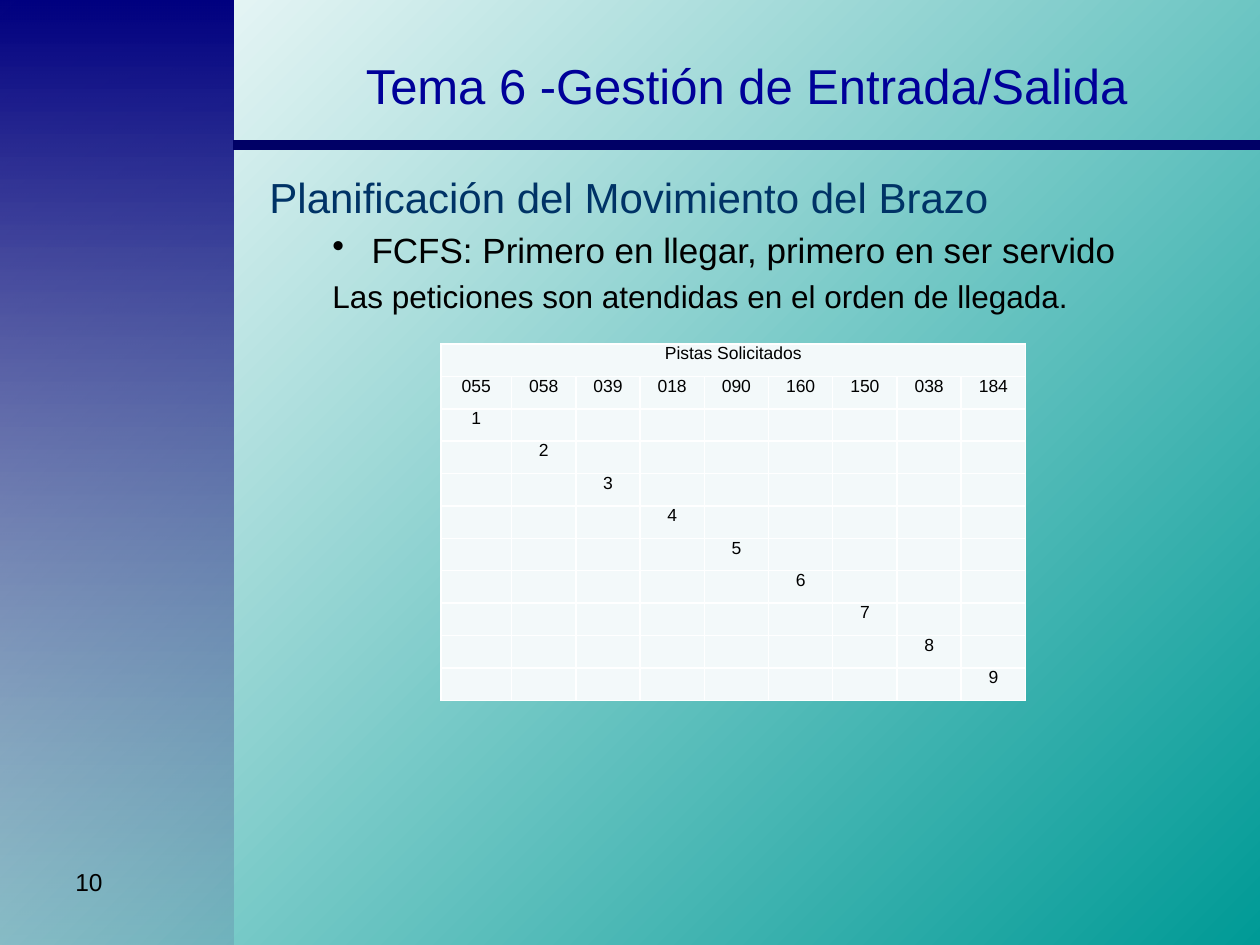
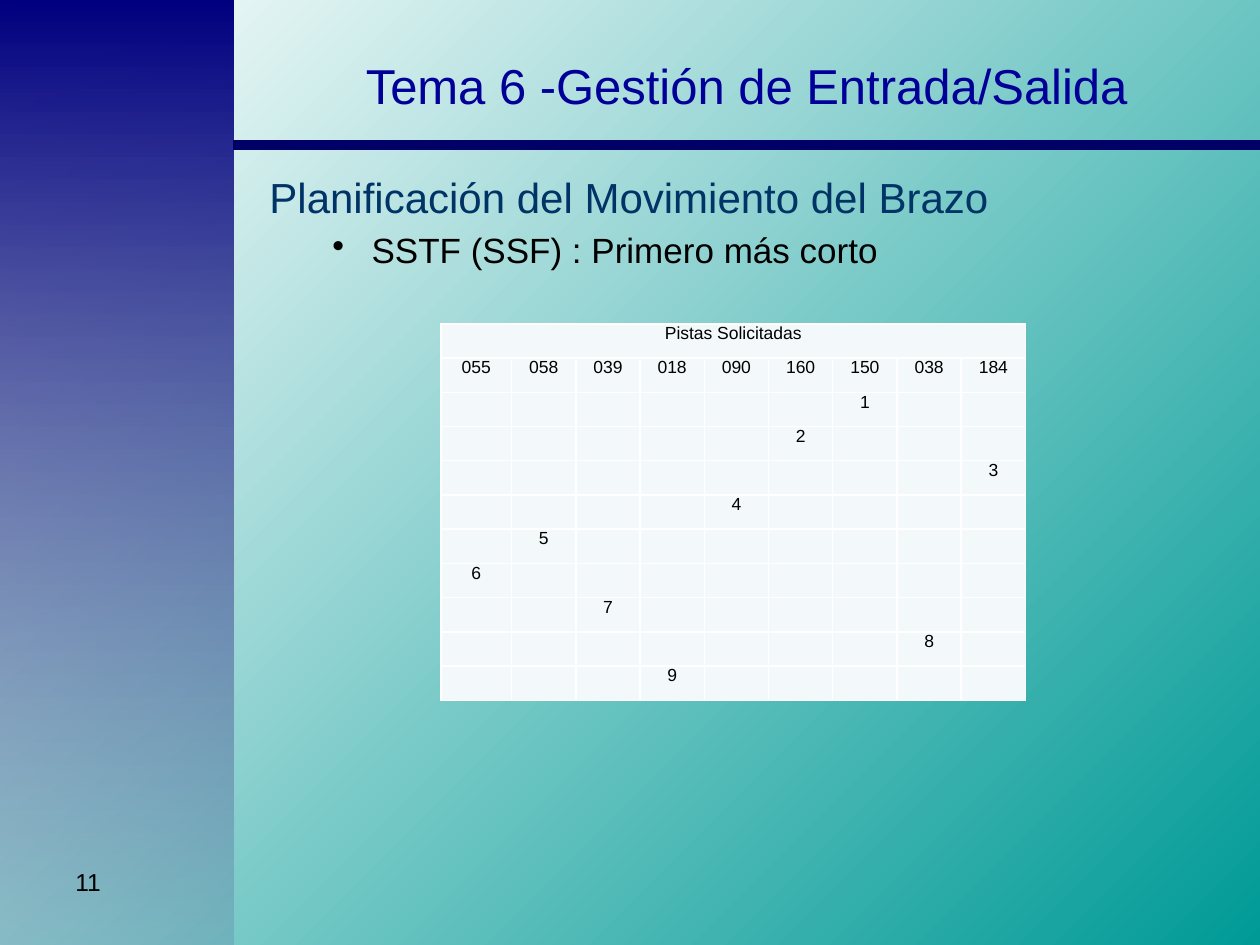
"""Build two slides on disk arm scheduling, each with a table of requested tracks."""
import dataclasses

import lxml.etree
import pptx
import pptx.dml.color
import pptx.enum.shapes
import pptx.enum.text
import pptx.oxml.ns
import pptx.util


@dataclasses.dataclass(frozen=True)
class Theme:
    font: str = "Arial"
    background: tuple = ("FFFFFF", "009A96")
    band: tuple = ("000080", "545490")
    band_end_alpha: str = "19000"
    rule: str = "000066"
    title: str = "000099"
    heading: str = "003366"
    text: str = "000000"
    cell: str = "F3F9FA"
    border: str = "FFFFFF"
    title_size: int = 28
    heading_size: int = 24
    bullet_size: int = 20
    note_size: int = 18
    number_size: int = 14
    cell_size: int = 10


theme = Theme()
rgb = pptx.dml.color.RGBColor.from_string
qn = pptx.oxml.ns.qn
align = pptx.enum.text.PP_ALIGN

presentation = pptx.Presentation()
presentation.slide_width = pptx.util.Inches(10)
presentation.slide_height = pptx.util.Inches(7.5)
column = presentation.slide_width / 100
row = presentation.slide_height / 75


def place(left, top, width, height):
    return [round(length) for length in (left * column, top * row, width * column, height * row)]


def write(paragraph, text, size, color, alignment=align.LEFT):
    paragraph.text = text
    paragraph.alignment = alignment
    paragraph.font.name = theme.font
    paragraph.font.size = pptx.util.Pt(size)
    paragraph.font.color.rgb = rgb(color)


band_width = 18.5
rule_top = 11.5
table_bottom = 55.6
tracks = ["055", "058", "039", "018", "090", "160", "150", "038", "184"]
track_widths = [5.6] + [5.1] * (len(tracks) - 1)
row_count = len(tracks) + 2

pages = [
    {
        "number": "10",
        "bullet": "FCFS: Primero en llegar, primero en ser servido",
        "note": "Las peticiones son atendidas en el orden de llegada.",
        "caption": "Pistas Solicitados",
        "table_top": 27.3,
        "service_order": tracks,
    },
    {
        "number": "11",
        "bullet": "SSTF (SSF) : Primero más corto",
        "note": None,
        "caption": "Pistas Solicitadas",
        "table_top": 25.7,
        "service_order": ["150", "160", "184", "090", "058", "055", "039", "038", "018"],
    },
]

for page in pages:
    slide = presentation.slides.add_slide(presentation.slide_layouts[6])
    shapes = slide.shapes

    band = shapes.add_shape(
        pptx.enum.shapes.MSO_SHAPE.RECTANGLE, *place(0, 0, band_width, 75))
    band.shadow.inherit = False
    band.line.fill.background()
    for fill, colors, angle in (
        (slide.background.fill, theme.background, 45),
        (band.fill, theme.band, 90),
    ):
        fill.gradient()
        fill.gradient_angle = 360 - angle
        for stop, color in zip(fill.gradient_stops, colors):
            stop.color.rgb = rgb(color)
    band_end = list(band._element.spPr.iter(qn("a:srgbClr")))[-1]
    lxml.etree.SubElement(band_end, qn("a:alpha"), val=theme.band_end_alpha)

    left, top, width, height = place(band_width, rule_top, 100 - band_width, 0)
    rule = shapes.add_connector(
        pptx.enum.shapes.MSO_CONNECTOR.STRAIGHT, left, top, left + width, top)
    rule.line.color.rgb = rgb(theme.rule)
    rule.line.width = pptx.util.Pt(6)
    lxml.etree.SubElement(rule._element.spPr, qn("a:effectLst"))

    number, title, body = [
        shapes.add_textbox(*place(*box)).text_frame
        for box in (
            (5, 68.3, 23.3, 5.2),
            (band_width, 0.5, 100 - band_width, 12.5),
            (20.4, 13.1, 76.9, 44.9),
        )
    ]
    for frame in (number, title, body):
        frame.word_wrap = True
    write(number.paragraphs[0], page["number"], theme.number_size, theme.text)
    title.vertical_anchor = pptx.enum.text.MSO_ANCHOR.MIDDLE
    write(title.paragraphs[0], "Tema 6 -Gestión de Entrada/Salida",
          theme.title_size, theme.title, align.CENTER)

    lines = [
        ("Planificación del Movimiento del Brazo", theme.heading_size, theme.heading, 0, 0),
        (page["bullet"], theme.bullet_size, theme.text, 8.1, -3.1),
        (page["note"], theme.note_size, theme.text, 5, 0),
    ]
    for index, (text, size, color, margin, indent) in enumerate(lines):
        if text is None:
            continue
        paragraph = body.add_paragraph() if index else body.paragraphs[0]
        write(paragraph, text, size, color)
        paragraph.level = 1 if margin else 0
        paragraph.space_before = pptx.util.Pt(size * 0.2)
        properties = paragraph._p.get_or_add_pPr()
        properties.set("marL", str(round(margin * column)))
        properties.set("indent", str(round(indent * column)))
        if indent:
            bullet = lxml.etree.Element(qn("a:buChar"), char="•")
            properties.find(qn("a:defRPr")).addprevious(bullet)

    table_height = table_bottom - page["table_top"]
    table = shapes.add_table(
        row_count, len(tracks),
        *place(35, page["table_top"], sum(track_widths), table_height)).table
    table.first_row = False
    table.horz_banding = False
    for table_column, width in zip(table.columns, track_widths):
        table_column.width = round(width * column)
    for table_row in table.rows:
        table_row.height = round(table_height * row / row_count)
    table.cell(0, 0).merge(table.cell(0, len(tracks) - 1))

    texts = {(0, 0): page["caption"]}
    for index, track in enumerate(tracks):
        texts[1, index] = track
    for step, track in enumerate(page["service_order"], 1):
        texts[step + 1, tracks.index(track)] = str(step)

    for row_index in range(row_count):
        for column_index in range(len(tracks)):
            cell = table.cell(row_index, column_index)
            cell.margin_left = cell.margin_right = round(0.2 * column)
            cell.margin_top = cell.margin_bottom = 0
            text = texts.get((row_index, column_index), "")
            paragraph = cell.text_frame.paragraphs[0]
            write(paragraph, text, theme.cell_size, theme.text, align.CENTER)
            if not text:
                lxml.etree.SubElement(
                    paragraph._p, qn("a:endParaRPr"), sz=str(theme.cell_size * 100))
            cell_properties = cell._tc.get_or_add_tcPr()
            for side in ("a:lnL", "a:lnR", "a:lnT", "a:lnB"):
                border = lxml.etree.SubElement(
                    cell_properties, qn(side), w=str(pptx.util.Pt(1)))
                border_fill = lxml.etree.SubElement(border, qn("a:solidFill"))
                lxml.etree.SubElement(border_fill, qn("a:srgbClr"), val=theme.border)
            cell.fill.solid()
            cell.fill.fore_color.rgb = rgb(theme.cell)

presentation.save("out.pptx")
